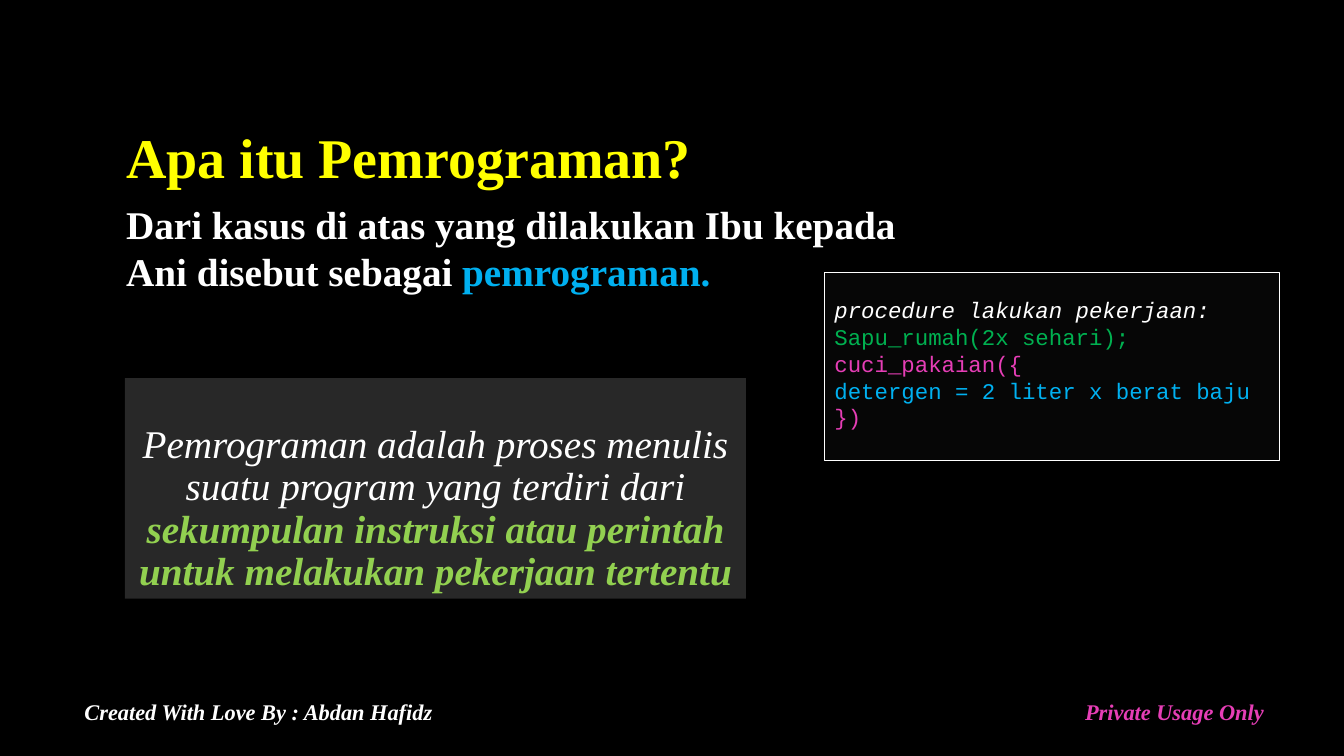
from lxml.etree import SubElement
from pptx import Presentation
from pptx.dml.color import RGBColor
from pptx.enum.shapes import MSO_SHAPE
from pptx.enum.text import MSO_ANCHOR, MSO_AUTO_SIZE, PP_ALIGN
from pptx.oxml.ns import qn
from pptx.util import Inches, Pt

WIDTH, HEIGHT = Inches(13.33), Inches(7.5)
COL, ROW = WIDTH / 100, HEIGHT / 100

BLACK = RGBColor(0x00, 0x00, 0x00)
WHITE = RGBColor(0xFF, 0xFF, 0xFF)
YELLOW = RGBColor(0xFF, 0xFF, 0x00)
BLUE = RGBColor(0x00, 0xB0, 0xF0)
LIME = RGBColor(0x92, 0xD0, 0x50)
GREEN = RGBColor(0x00, 0xB0, 0x50)
PINK = RGBColor(0xE6, 0x3E, 0xB6)
GREY = RGBColor(0x51, 0x51, 0x51)
COAL = RGBColor(0x0D, 0x0D, 0x0D)

SERIF, MONO = "Times New Roman", "Courier New"
HEAD = {"name": SERIF, "size": Pt(40), "bold": True, "italic": False}
LEAD = {**HEAD, "size": Pt(28)}
QUOTE = {**LEAD, "bold": False, "italic": True}
STRESS = {**QUOTE, "bold": True}
FOOT = {**STRESS, "size": Pt(16)}
CODE = {"name": MONO, "size": Pt(16), "bold": False, "italic": False}
SLANT = {**CODE, "italic": True}


def apply(thing, style):
    for key, value in style.items():
        setattr(thing, key, value)


def grid(left, top, wide, high):
    return [round(n) for n in (left * COL, top * ROW, wide * COL, high * ROW)]


def place(shape, area):
    apply(shape, dict(zip(("left", "top", "width", "height"), grid(*area))))


def write(shape, lines, space=1.0, align=PP_ALIGN.LEFT, anchor=MSO_ANCHOR.TOP):
    frame = shape.text_frame
    apply(frame, {"word_wrap": True, "auto_size": MSO_AUTO_SIZE.NONE,
                  "vertical_anchor": anchor})
    for index, line in enumerate(lines):
        para = frame.add_paragraph() if index else frame.paragraphs[0]
        apply(para, {"alignment": align, "line_spacing": space,
                     "space_before": Pt(0)})
        for text, color, style in line:
            run = para.add_run()
            run.text = text
            apply(run.font, style)
            run.font.color.rgb = color


def panel(slide, area, color, edge=None):
    shape = slide.shapes.add_shape(MSO_SHAPE.RECTANGLE, *grid(*area))
    shape.shadow.inherit = False
    shape.fill.solid()
    shape.fill.fore_color.rgb = color
    tint = shape.fill._xPr.find(qn("a:solidFill"))[0]
    SubElement(tint, qn("a:alpha"), val="50000")
    if edge is None:
        shape.line.fill.background()
    else:
        shape.line.color.rgb = edge
        shape.line.width = Pt(0.75)
    return shape


def footer(slide, area, text, color):
    box = slide.shapes.add_textbox(*grid(*area))
    write(box, [[(text, color, FOOT)]], space=0.9)


def main():
    deck = Presentation()
    apply(deck, {"slide_width": WIDTH, "slide_height": HEIGHT})
    slide = deck.slides.add_slide(deck.slide_layouts[0])
    slide.background.fill.solid()
    slide.background.fill.fore_color.rgb = BLACK

    title, body = slide.placeholders
    place(title, (8.63, 10.67, 75, 15.2))
    write(title, [[("Apa itu Pemrograman?", YELLOW, HEAD)]],
          space=0.9, anchor=MSO_ANCHOR.BOTTOM)
    place(body, (8.63, 25.87, 59.55, 20.13))
    write(body, [[
        ("Dari kasus di atas yang dilakukan Ibu kepada Ani disebut sebagai ",
         WHITE, LEAD),
        ("pemrograman.", BLUE, LEAD)]])

    quote = panel(slide, (9.3, 50, 46.2, 29.2), GREY)
    write(quote, [[
        ("Pemrograman adalah proses menulis suatu program yang terdiri dari ",
         WHITE, QUOTE),
        ("sekumpulan instruksi atau perintah untuk melakukan pekerjaan tertentu",
         LIME, STRESS)]],
        space=0.9, align=PP_ALIGN.CENTER, anchor=MSO_ANCHOR.BOTTOM)

    code = panel(slide, (61.35, 36, 33.83, 24.93), COAL, WHITE)
    code.text_frame.margin_bottom = Inches(0.3)
    write(code, [
        [("procedure lakukan pekerjaan:", WHITE, SLANT)],
        [("Sapu_rumah(2x sehari);", GREEN, CODE)],
        [("cuci_pakaian({", PINK, CODE)],
        [("detergen = 2 liter x berat baju", BLUE, CODE)],
        [("})", PINK, CODE)]], anchor=MSO_ANCHOR.BOTTOM)

    footer(slide, (5.55, 92.13, 75, 6.8),
           "Created With Love By : Abdan Hafidz", WHITE)
    footer(slide, (80, 92.13, 20, 6.8), "Private Usage Only", PINK)
    deck.save("out.pptx")


if __name__ == "__main__":
    main()
